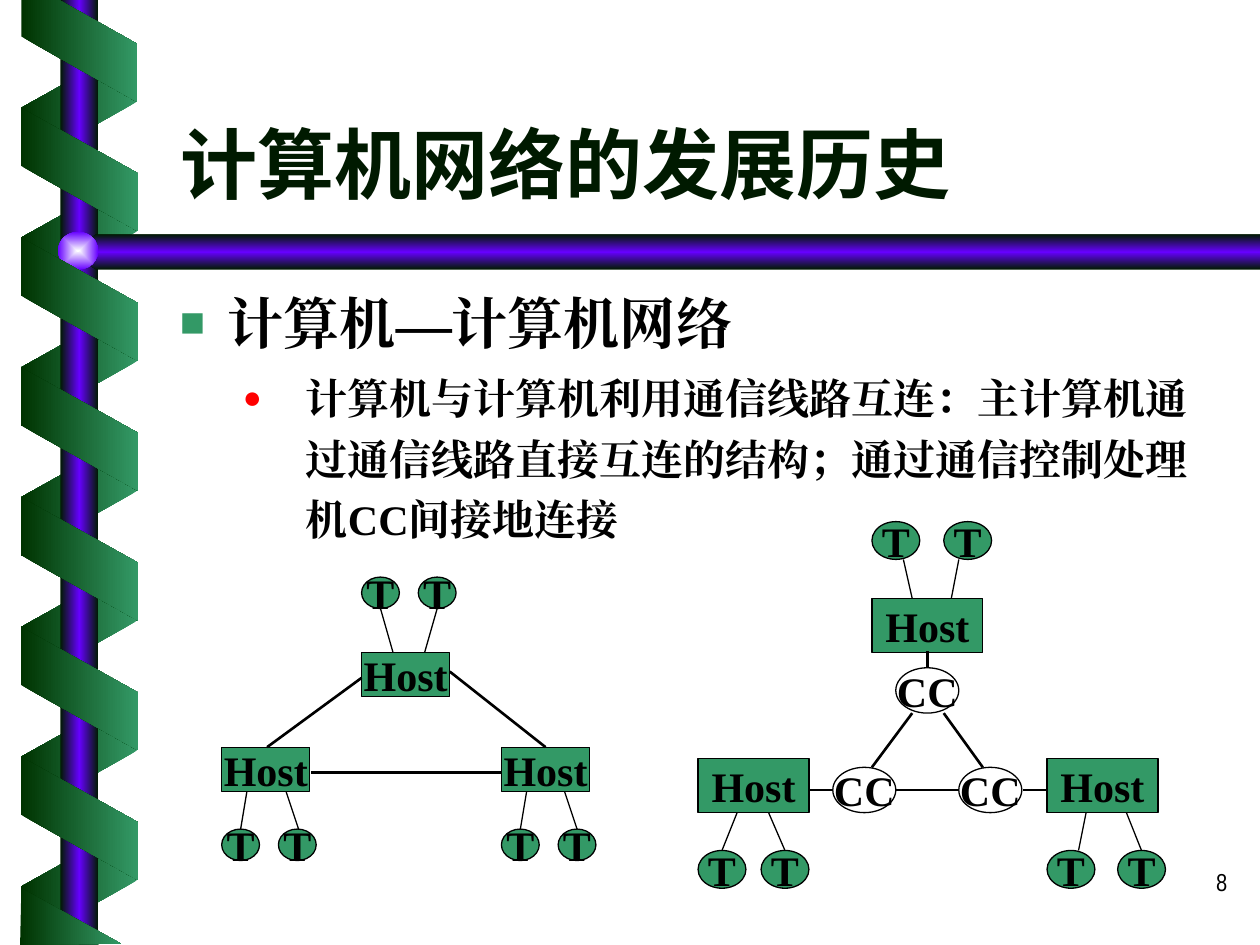
from lxml import etree
from pptx import Presentation
from pptx.dml.color import RGBColor
from pptx.enum.shapes import MSO_CONNECTOR, MSO_SHAPE
from pptx.enum.text import MSO_ANCHOR, PP_ALIGN
from pptx.oxml.ns import qn
from pptx.util import Inches, Pt

RECTANGLE, OVAL, RIBBON = MSO_SHAPE.RECTANGLE, MSO_SHAPE.OVAL, MSO_SHAPE.PARALLELOGRAM
STRAIGHT = MSO_CONNECTOR.STRAIGHT
MIDDLE, BOTTOM, TOP = MSO_ANCHOR.MIDDLE, MSO_ANCHOR.BOTTOM, MSO_ANCHOR.TOP
LEFT, CENTER, RIGHT = PP_ALIGN.LEFT, PP_ALIGN.CENTER, PP_ALIGN.RIGHT

COLORS = {"green": "339966", "forest": "003300", "night": "001A00", "violet": "6600FF",
          "pearl": "FEFFFF", "white": "FFFFFF", "black": "000000", "red": "FF0000"}
SERIF, SANS, NARROW = "Times New Roman", "Noto Sans CJK SC", "Arial Narrow"

# Content
TITLE = "计算机网络的发展历史"
HEADING = "计算机—计算机网络"
DETAIL = "计算机与计算机利用通信线路互连：主计算机通过通信线路直接互连的结构；通过通信控制处理机CC间接地连接"
PAGE_NUMBER = "8"

# Hosts: left, top, terminal row top, then per terminal: left, link x at terminal, link x at host
# (terminal and link positions are measured from the host's left edge)
DIRECT = {
    "host": (0.7, 0.35), "terminal": (0.3, 0.25),
    "hosts": [
        (2.87, 5.18, 4.58, [(0, 0.15, 0.25), (0.45, 0.6, 0.5)]),
        (1.76, 5.93, 6.58, [(0, 0.15, 0.2), (0.45, 0.61, 0.51)]),
        (3.98, 5.93, 6.58, [(0, 0.15, 0.2), (0.45, 0.6, 0.5)])],
    "trunks": [(2.87, 5.38, 2.12, 5.93), (2.47, 6.13, 3.98, 6.13), (3.57, 5.33, 4.33, 5.93)],
    "controllers": [],
}
INDIRECT = {
    "host": (0.88, 0.43), "terminal": (0.38, 0.3),
    "hosts": [
        (6.92, 4.75, 4.14, [(0, 0.25, 0.32), (0.57, 0.69, 0.63)]),
        (5.54, 6.02, 6.75, [(0, 0.19, 0.31), (0.5, 0.69, 0.56)]),
        (8.31, 6.02, 6.75, [(0, 0.25, 0.31), (0.56, 0.75, 0.63)])],
    "trunks": [(7.36, 5.17, 7.36, 5.3), (6.42, 6.27, 6.61, 6.27), (8.12, 6.27, 8.31, 6.27),
               (7.11, 6.27, 7.61, 6.27), (7.49, 5.66, 7.8, 6.09), (6.92, 6.09, 7.24, 5.66)],
    "controllers": [(7.11, 5.3), (6.61, 6.09), (7.61, 6.09)],
}
CONTROLLER_SIZE = (0.5, 0.36)

# Ribbon spiral: seven turns behind the pole, six in front, and cut ends
RIBBON_STEP, RIBBON_LEFT, RIBBON_WIDTH = 1.03, 0.14, 0.98
BACK_RIBBONS = {"first": 0.37, "count": 7, "height": 0.92, "rotation": 90}
FRONT_RIBBONS = {"first": 0.88, "count": 6, "height": 0.93, "rotation": 270}
RIBBON_ENDS = [[(0.17, 0), (0.17, 0.29), (1.09, 0.81), (1.09, 0.35), (0.47, 0)],
               [(0.96, 7.49), (0.17, 7.05), (0.16, 7.5)]]
BAND = [(10, 1.86), (0.76, 1.86), (0.6, 2), (0.76, 2.14), (10, 2.14)]


def rgb(name):
    return RGBColor.from_string(COLORS[name])


def add_child(parent, tag, **attributes):
    return etree.SubElement(parent, qn(tag), {key: str(value) for key, value in attributes.items()})


def fill_gradient(shape, names, angle=0, from_center=False):
    """Spread the named colours evenly; the gradient stays upright when the shape turns."""
    shape.shadow.inherit = False
    shape.line.fill.background()
    shape.fill.solid()
    solid = shape._element.spPr.find(qn("a:solidFill"))
    gradient = etree.Element(qn("a:gradFill"), rotWithShape="0")
    stops = add_child(gradient, "a:gsLst")
    for index, name in enumerate(names):
        stop = add_child(stops, "a:gs", pos=100000 * index // (len(names) - 1))
        add_child(stop, "a:srgbClr", val=COLORS[name])
    if from_center:
        focus = add_child(gradient, "a:path", path="rect")
        add_child(focus, "a:fillToRect", l=50000, t=50000, r=50000, b=50000)
    else:
        add_child(gradient, "a:lin", ang=angle * 60000, scaled=0)
    solid.getparent().replace(solid, gradient)


def add_outline(shapes, points):
    corners = [(Inches(x), Inches(y)) for x, y in points]
    builder = shapes.build_freeform(*corners[0])
    builder.add_line_segments(corners[1:], close=True)
    return builder.convert_to_shape()


def place(shape, box):
    for name, value in zip(("left", "top", "width", "height"), box):
        setattr(shape, name, Inches(value))


def write(shape, text, size, color="black", font=SERIF, east_asian=None, bold=True,
          anchor=TOP, wrap=True, bullet=None, **paragraph_format):
    frame = shape.text_frame
    frame.word_wrap, frame.vertical_anchor = wrap, anchor
    frame.text = text
    paragraph = frame.paragraphs[0]
    for name, value in paragraph_format.items():
        setattr(paragraph, name, value)
    if bullet:
        symbol, bullet_color, margin, indent = bullet
        properties = paragraph._p.get_or_add_pPr()
        properties.set("marL", str(Inches(margin)))
        properties.set("indent", str(Inches(indent)))
        add_child(add_child(properties, "a:buClr"), "a:srgbClr", val=COLORS[bullet_color])
        add_child(properties, "a:buSzPct", val=75000)
        add_child(properties, "a:buFont", typeface=SERIF)
        add_child(properties, "a:buChar", char=symbol)
    run = paragraph.runs[0]
    for name, value in {"name": font, "size": Pt(size), "bold": bold}.items():
        setattr(run.font, name, value)
    run.font.color.rgb = rgb(color)
    add_child(run._r.get_or_add_rPr(), "a:ea", typeface=east_asian or font)


def add_node(shapes, kind, box, label, color="green"):
    node = shapes.add_shape(kind, *map(Inches, box))
    node.shadow.inherit = False
    node.fill.solid()
    node.fill.fore_color.rgb = rgb(color)
    node.line.color.rgb, node.line.width = rgb("black"), Pt(0.75)
    write(node, label, 24, anchor=MIDDLE, wrap=False, alignment=CENTER)


def add_link(shapes, ends, width):
    link = shapes.add_connector(STRAIGHT, *map(Inches, ends))
    link.line.color.rgb, link.line.width = rgb("black"), Pt(width)
    add_child(link._element.spPr, "a:effectLst")


def add_network(slide, network):
    shapes = slide.shapes.add_group_shape().shapes
    host_height, terminal_height = network["host"][1], network["terminal"][1]
    for left, top, row, terminals in network["hosts"]:
        add_node(shapes, RECTANGLE, (left, top, *network["host"]), "Host")
        above = row < top
        host_y = top if above else top + host_height
        terminal_y = row + terminal_height if above else row
        for offset, terminal_x, host_x in terminals:
            add_node(shapes, OVAL, (left + offset, row, *network["terminal"]), "T")
            add_link(shapes, (left + terminal_x, terminal_y, left + host_x, host_y), 0.75)
    for ends in network["trunks"]:
        add_link(shapes, ends, 1.5)
    for corner in network["controllers"]:
        add_node(shapes, OVAL, (*corner, *CONTROLLER_SIZE), "CC", "white")


def add_ribbons(shapes, ribbons, names, flipped=False):
    for turn in range(ribbons["count"]):
        top = ribbons["first"] + turn * RIBBON_STEP
        box = (RIBBON_LEFT, top, RIBBON_WIDTH, ribbons["height"])
        ribbon = shapes.add_shape(RIBBON, *map(Inches, box))
        ribbon.adjustments[0] = 0.56
        ribbon.rotation = ribbons["rotation"]
        if flipped:
            ribbon._element.spPr.find(qn("a:xfrm")).set("flipH", "1")
        fill_gradient(ribbon, names)


def add_ornament(shapes):
    add_ribbons(shapes, BACK_RIBBONS, ("green", "forest"), flipped=True)
    pole = shapes.add_shape(RECTANGLE, *map(Inches, (0.48, 0, 0.3, 7.5)))
    fill_gradient(pole, ("night", "violet", "night"))
    fill_gradient(add_outline(shapes, BAND), ("night", "violet", "night"), angle=90)
    bead = shapes.add_shape(OVAL, *map(Inches, (0.46, 1.84, 0.32, 0.3)))
    fill_gradient(bead, ("pearl", "violet"), from_center=True)
    add_ribbons(shapes, FRONT_RIBBONS, ("forest", "green"))
    for points in RIBBON_ENDS:
        fill_gradient(add_outline(shapes, points), ("forest", "green"))


def main():
    presentation = Presentation()
    presentation.slide_width, presentation.slide_height = Inches(10), Inches(7.5)
    slide = presentation.slides.add_slide(presentation.slide_layouts[5])
    add_ornament(slide.shapes)

    # Title and text
    title = slide.shapes.title
    place(title, (1.33, 0.46, 8.5, 1.25))
    write(title, TITLE, 44, "night", SANS, anchor=BOTTOM, alignment=LEFT)
    texts = [
        ((1.33, 2.24, 8.5, 0.76), HEADING,
         {"size": 32, "bullet": ("■", "green", 0.38, -0.38)}),
        ((1.33, 2.83, 8.5, 1.46), DETAIL,
         {"size": 24, "bullet": ("●", "red", 1, -0.5), "line_spacing": 1.2}),
        ((7.76, 6.83, 2.08, 0.5), PAGE_NUMBER,
         {"size": 14, "font": NARROW, "bold": False, "alignment": RIGHT}),
    ]
    for box, text, text_format in texts:
        write(slide.shapes.add_textbox(*map(Inches, box)), text, **text_format)

    # Network diagrams
    for network in (DIRECT, INDIRECT):
        add_network(slide, network)
    presentation.save("out.pptx")


if __name__ == "__main__":
    main()
